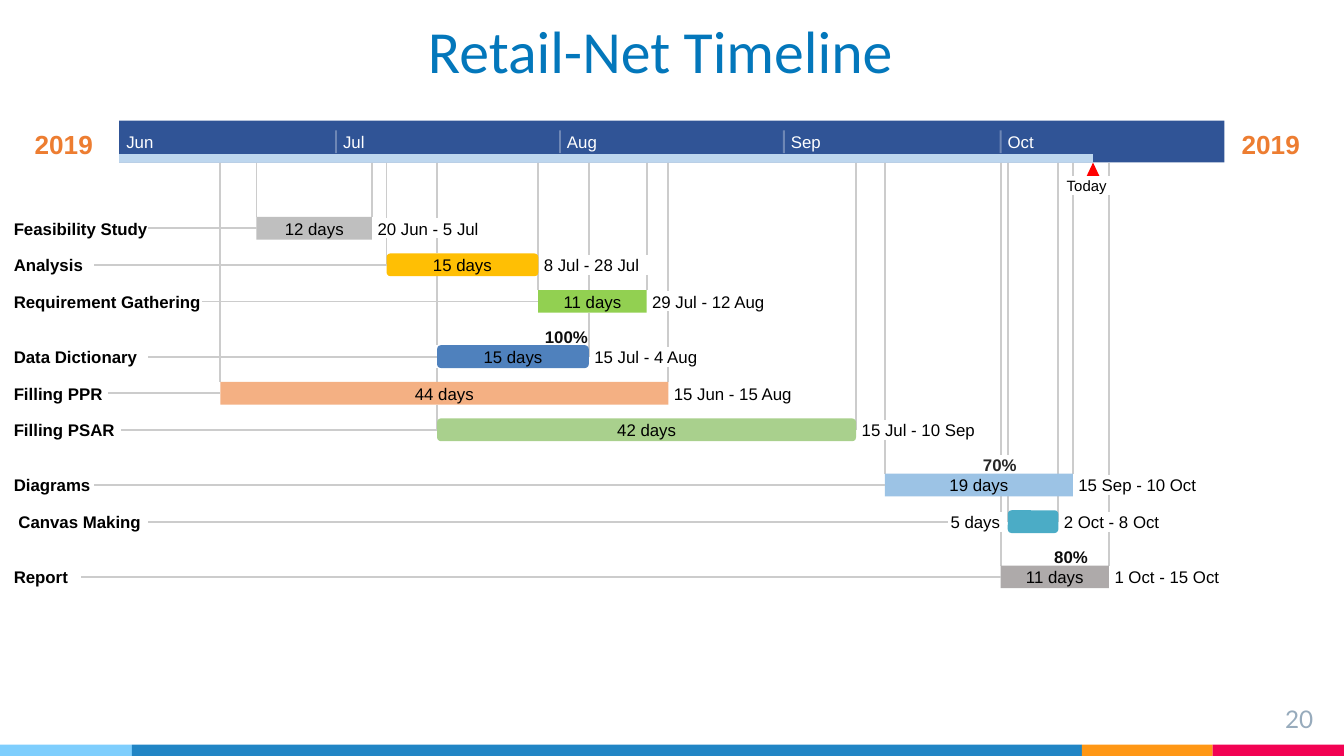
import pptx
import pptx.util
import pptx.dml.color
import pptx.enum.shapes
import pptx.enum.text
import pptx.oxml.ns
import lxml.etree

Pt = pptx.util.Pt
SHAPE = pptx.enum.shapes.MSO_SHAPE
ALIGN = pptx.enum.text.PP_ALIGN
ANCHOR = pptx.enum.text.MSO_ANCHOR

# Content
TITLE = "Retail-Net Timeline"
YEAR = "2019"
MONTHS = {"Jun": 0, "Jul": 30, "Aug": 61, "Sep": 92, "Oct": 122}  # first day index
TOTAL_DAYS = 153
TODAY = 134.8
# name, label width, dates, date width, duration, colour, rounded
TASKS = [
    ("Feasibility Study", 72, "20 Jun - 5 Jul", 57.6, "12 days", "BFBFBF", False),
    ("Analysis", 43.2, "8 Jul - 28 Jul", 57.6, "15 days", "FFBF04", True),
    ("Requirement Gathering", 100.8, "29 Jul - 12 Aug", 64.8, "11 days", "92D051", False),
    ("Data Dictionary", 72, "15 Jul - 4 Aug", 57.6, "15 days", "4F81BD", True),
    ("Filling PPR", 50.4, "15 Jun - 15 Aug", 64.8, "44 days", "F4B083", False),
    ("Filling PSAR", 57.6, "15 Jul - 10 Sep", 64.8, "42 days", "A9D08D", True),
    ("Diagrams", 43.2, "15 Sep - 10 Oct", 64.8, "19 days", "9CC3E5", False),
    (" Canvas Making", 72, "2 Oct - 8 Oct", 57.6, "5 days", "4BACC6", True),
    ("Report", 36, "1 Oct - 15 Oct", 57.6, "11 days", "AEAAAA", False),
]
# task: text, centre, width, colour
PROGRESS = {
    "Data Dictionary": ("100%", 302.4, 31.7, "0D0D0D"),
    "Diagrams": ("70%", 534.6, 23.8, "262626"),
    "Report": ("80%", 572.8, 23.8, "0D0D0D"),
}
FOOTER = [(0, 70.6, "7ECEFD"), (70.6, 509, "2185C5"),
          (579.6, 70, "FF9715"), (649.6, 70.4, "F20253")]

# Layout
AXIS_LEFT, DAY = 63.9, 3.87
AXIS_TOP, AXIS_BOTTOM = 64.6, 87.1
FIRST_ROW, PITCH, PROGRESS_GAP = 116.2, 19.6, 10
BAR_HEIGHT, TEXT_HEIGHT = 12.2, 10.8
LABEL_LEFT, GAP = 7.4, 3
DURATION_WIDTH = 36
GRID = "CCCCCC"

presentation = pptx.Presentation()
presentation.slide_width, presentation.slide_height = Pt(720), Pt(405)
slide = presentation.slides.add_slide(presentation.slide_layouts[6])


def rgb(value):
    return pptx.dml.color.RGBColor.from_string(value)


def add_block(kind, left, top, width, height, colour):
    shape = slide.shapes.add_shape(kind, Pt(left), Pt(top), Pt(width), Pt(height))
    shape.shadow.inherit = False
    shape.fill.solid()
    shape.fill.fore_color.rgb = rgb(colour)
    shape.line.fill.background()
    return shape


def add_line(x1, y1, x2, y2, colour=GRID, opacity=None):
    line = slide.shapes.add_connector(
        pptx.enum.shapes.MSO_CONNECTOR.STRAIGHT, Pt(x1), Pt(y1), Pt(x2), Pt(y2))
    line.line.width = Pt(1)
    line.line.color.rgb = rgb(colour)
    properties = line._element.spPr
    if opacity:
        fill = next(properties.iter(pptx.oxml.ns.qn("a:srgbClr")))
        lxml.etree.SubElement(fill, pptx.oxml.ns.qn("a:alpha")).set("val", str(opacity * 1000))
    lxml.etree.SubElement(properties, pptx.oxml.ns.qn("a:effectLst"))
    return line


def add_text(text, left, top, width, height, size=9, colour="000000", bold=False,
             align=ALIGN.LEFT, anchor=ANCHOR.MIDDLE, font="Arial", margins=(0, 0, 0, 0)):
    frame = slide.shapes.add_textbox(Pt(left), Pt(top), Pt(width), Pt(height)).text_frame
    frame.margin_left, frame.margin_top, frame.margin_right, frame.margin_bottom = map(Pt, margins)
    frame.word_wrap = True
    frame.vertical_anchor = anchor
    frame.text = text
    paragraph = frame.paragraphs[0]
    paragraph.alignment = align
    run = paragraph.runs[0]
    run.font.name, run.font.size, run.font.bold = font, Pt(size), bold
    run.font.color.rgb = rgb(colour)


def day_index(date):
    day, month = date.split()
    return MONTHS[month] + int(day) - 1


def day_x(index):
    return AXIS_LEFT + index * DAY


# Footer band, slide number and title
for left, width, colour in FOOTER:
    add_block(SHAPE.RECTANGLE, left, 399, width, 6, colour)
add_text("20", 667.4, 370, 43.2, 24.5, 13, "97ABBC", align=ALIGN.RIGHT, anchor=ANCHOR.TOP,
         font="Lato", margins=(7.2, 7.2, 7.2, 7.2))
add_text(TITLE, 162, 14.8, 383.8, 31, 32, "0377BB", align=ALIGN.CENTER,
         anchor=ANCHOR.BOTTOM, font="Calibri")

# Month axis with elapsed time and today's marker
for centre in (34.2, 680.8):
    add_text(YEAR, centre - 18, 68.4, 36, 17.3, 14, "ED7D31", True, ALIGN.CENTER)
add_block(SHAPE.RECTANGLE, AXIS_LEFT, AXIS_TOP, TOTAL_DAYS * DAY, AXIS_BOTTOM - AXIS_TOP, "305496")
add_block(SHAPE.RECTANGLE, AXIS_LEFT, 82.6, TODAY * DAY, AXIS_BOTTOM - 82.6, "BDD6EE")
add_block(SHAPE.ISOSCELES_TRIANGLE, day_x(TODAY) - 3.4, AXIS_BOTTOM, 6.8, 7.2, "FF0000")
for month, first_day in MONTHS.items():
    if first_day:
        add_line(day_x(first_day), 69.8, day_x(first_day), 82, "FFFFFF", opacity=30)
    add_text(month, day_x(first_day) + 3.8, 70.6, 20, TEXT_HEIGHT, colour="FFFFFF")

# Rows: place each task, note where guides stop and which areas interrupt them
rows, guides = [], {}
obstacles = [(568.8, 595.4, 94.3, 104.4)]  # left, right, top, bottom of "Today"
top = FIRST_ROW
for name, label_width, dates, date_width, duration, colour, rounded in TASKS:
    if name in PROGRESS:
        top += PROGRESS_GAP
        centre = PROGRESS[name][1]
        obstacles.append((centre - 12, centre + 12, top - 10.1, top + 0.7))
    start, end = (day_index(date) for date in dates.split(" - "))
    end += 1
    left, right = day_x(start), day_x(end)
    middle = top + BAR_HEIGHT / 2
    text_top = middle - TEXT_HEIGHT / 2
    text_bottom = text_top + TEXT_HEIGHT
    outside = right - left < DURATION_WIDTH  # a short bar has its duration beside it
    duration_left = left - GAP - 28.8 if outside else (left + right - DURATION_WIDTH) / 2
    obstacles.append((left, right, top, top + BAR_HEIGHT))
    obstacles.append((right + GAP, right + GAP + date_width, text_top, text_bottom))
    if outside:
        obstacles.append((duration_left, left - GAP + 1, text_top, text_bottom))
    for day in (start, end):
        guides[day] = max(guides.get(day, 0), middle if rounded else top)
    rows.append((left, right, top, middle, text_top, outside, duration_left))
    top += PITCH

# Vertical guides, broken where text or bars lie across them
for day, stop in guides.items():
    x, y = day_x(day), AXIS_BOTTOM
    for left, right, upper, lower in sorted(obstacles, key=lambda area: area[2]):
        if left <= x < right and lower < stop:
            if upper > y:
                add_line(x, y, x, upper)
            y = max(y, lower)
    add_line(x, y, x, stop)

# Bars, row lines and row texts
for task, row in zip(TASKS, rows):
    name, label_width, dates, date_width, duration, colour, rounded = task
    left, right, top, middle, text_top, outside, duration_left = row
    kind = SHAPE.ROUNDED_RECTANGLE if rounded else SHAPE.RECTANGLE
    bar = add_block(kind, left, top, right - left, BAR_HEIGHT, colour)
    line = add_line(LABEL_LEFT + label_width, middle, duration_left if outside else left, middle)
    if not outside:
        line.end_connect(bar, 1)
    add_text(name, LABEL_LEFT, text_top, label_width, TEXT_HEIGHT, bold=True)
    add_text(duration, duration_left, text_top, 28.8 if outside else DURATION_WIDTH,
             TEXT_HEIGHT, align=ALIGN.CENTER)
    add_text(dates, right + GAP, text_top, date_width, TEXT_HEIGHT)
    if name in PROGRESS:
        percent, centre, width, percent_colour = PROGRESS[name]
        add_text(percent, centre - width / 2, top - 10.1, width, TEXT_HEIGHT, colour=percent_colour,
                 bold=True, align=ALIGN.CENTER, margins=(2, 0, 0, 0))
add_text("Today", 569.2, 94.5, 26, 9.5, 8, align=ALIGN.CENTER)

presentation.save("out.pptx")
